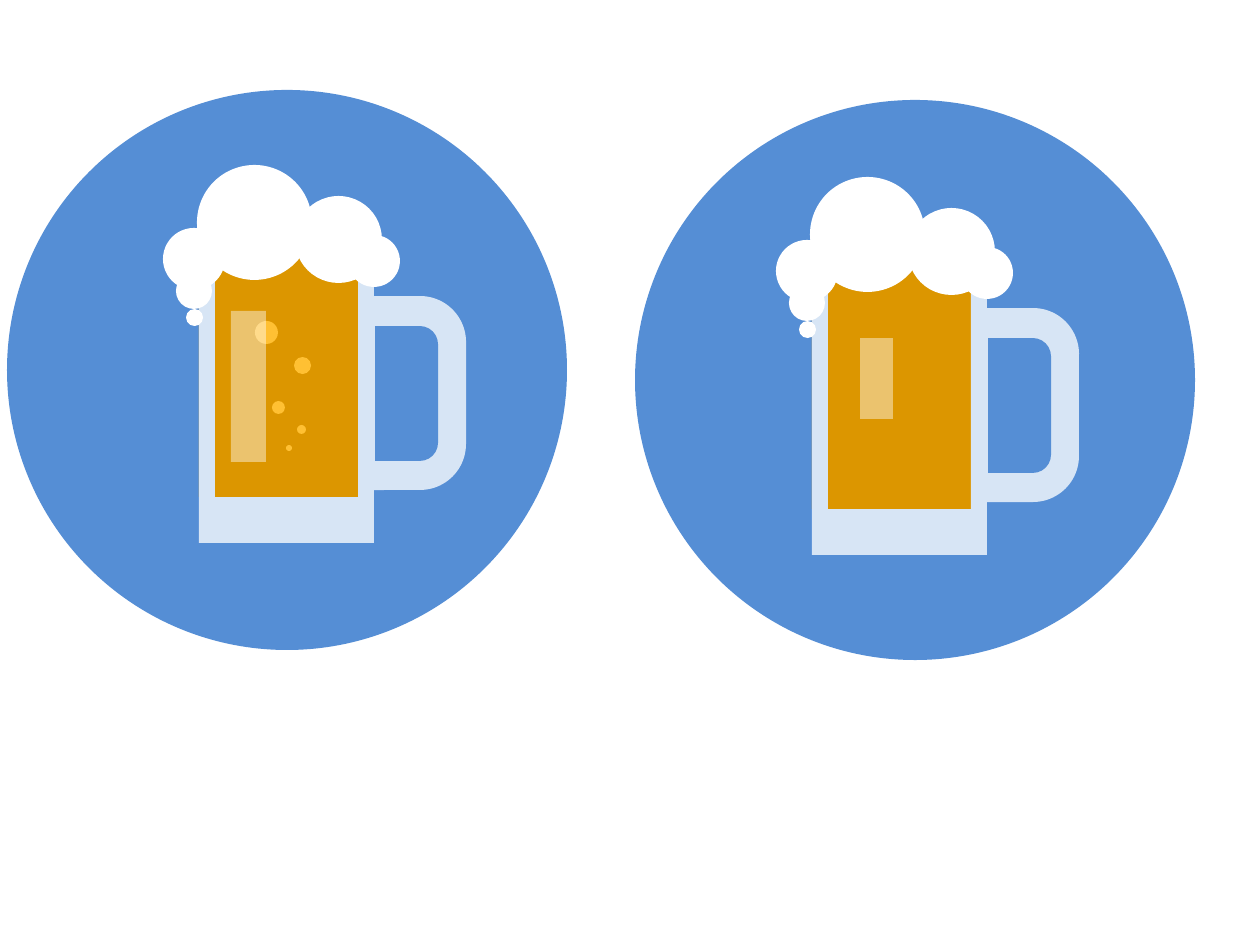
from pptx import Presentation
from pptx import util as u
from pptx.dml.color import RGBColor
from pptx.enum import shapes
from pptx.oxml.ns import qn
from lxml import etree

PX = u.Inches(1) / 126
BLUE = RGBColor(0x55, 0x8E, 0xD5)
GLASS = RGBColor(0xD7, 0xE5, 0xF5)
BEER = RGBColor(0xDC, 0x96, 0x00)
GOLD = RGBColor(0xFF, 0xC0, 0x33)
WHITE = RGBColor(0xFF, 0xFF, 0xFF)
RECT = shapes.MSO_SHAPE.RECTANGLE
OVAL = shapes.MSO_SHAPE.OVAL
ARCH = shapes.MSO_SHAPE.ROUND_2_SAME_RECTANGLE

FOAM = [(163, 228, 62), (197, 165, 115), (348, 235, 52), (295, 196, 87), (176, 273, 36)]
DROP = (186, 309, 17)
FIZZ = [(294, 357, 17), (272, 401, 13), (255, 321, 23), (297, 425, 9), (286, 445, 6)]

deck = Presentation()
deck.slide_width = u.Inches(10)
deck.slide_height = u.Inches(7.5)
slide = deck.slides.add_slide(deck.slide_layouts[6])


def draw(home, kind, box, fill, shift=(0, 0)):
    left, top, wide, high = box
    edges = (left + shift[0], top + shift[1], wide, high)
    part = home.add_shape(kind, *[round(v * PX) for v in edges])
    part.shadow.inherit = False
    part.fill.solid()
    part.fill.fore_color.rgb = fill
    part.line.fill.background()
    return part


def dot(home, spot, fill, shift=(0, 0)):
    left, top, size = spot
    draw(home, OVAL, (left, top, size, size), fill, shift)


mugs = [
    ((7, 90, 560), (0, 0), False, FIZZ, (231, 311, 35, 151)),
    ((635, 100, 560), (613, 12), True, [], (247, 326, 33, 81)),
]
for disc, shift, joined, fizz, shine in mugs:
    dot(slide.shapes, disc, BLUE)
    mug = slide.shapes.add_group_shape().shapes if joined else slide.shapes

    draw(mug, RECT, (199, 243, 175, 300), GLASS, shift)
    grip = mug.add_group_shape().shapes
    for box, fill, bend in [((323, 347, 194, 92), GLASS, 0.5), ((339, 362, 135, 63), BLUE, 0.29)]:
        loop = draw(grip, ARCH, box, fill, shift)
        loop.rotation = 90
        loop.adjustments[0] = bend
        loop.adjustments[1] = 0

    draw(mug, RECT, (199, 252, 175, 245), BEER, shift)
    for left in (199, 358):
        draw(mug, RECT, (left, 243, 16, 254), GLASS, shift)
    for spot in FOAM:
        dot(mug, spot, WHITE, shift)
    for spot in fizz:
        dot(mug, spot, GOLD, shift)

    gleam = draw(mug, RECT, shine, WHITE, shift)
    tint = gleam.fill._xPr.find(qn("a:solidFill"))[0]
    etree.SubElement(tint, qn("a:alpha")).set("val", "43000")
    dot(mug, DROP, WHITE, shift)

deck.save("out.pptx")
